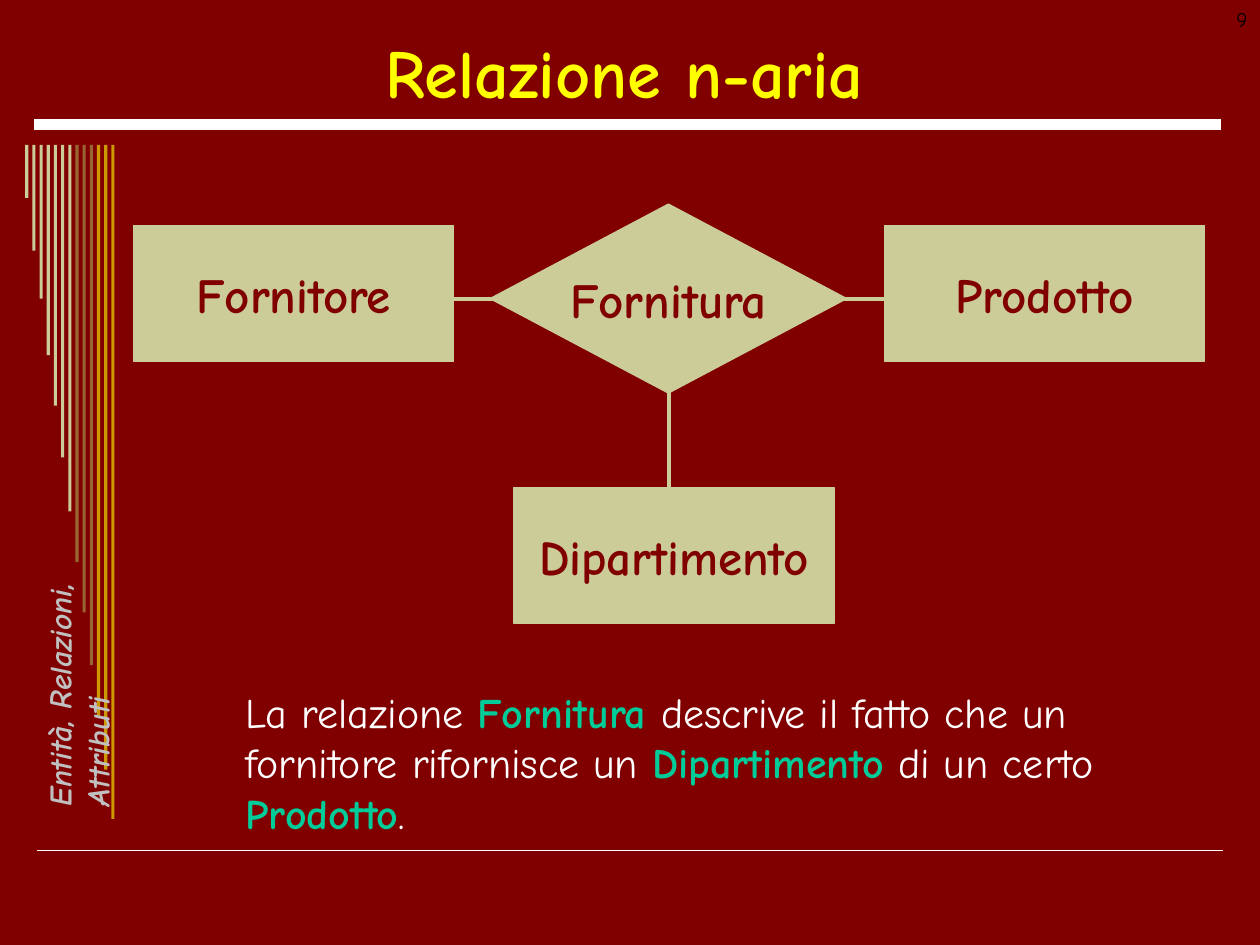
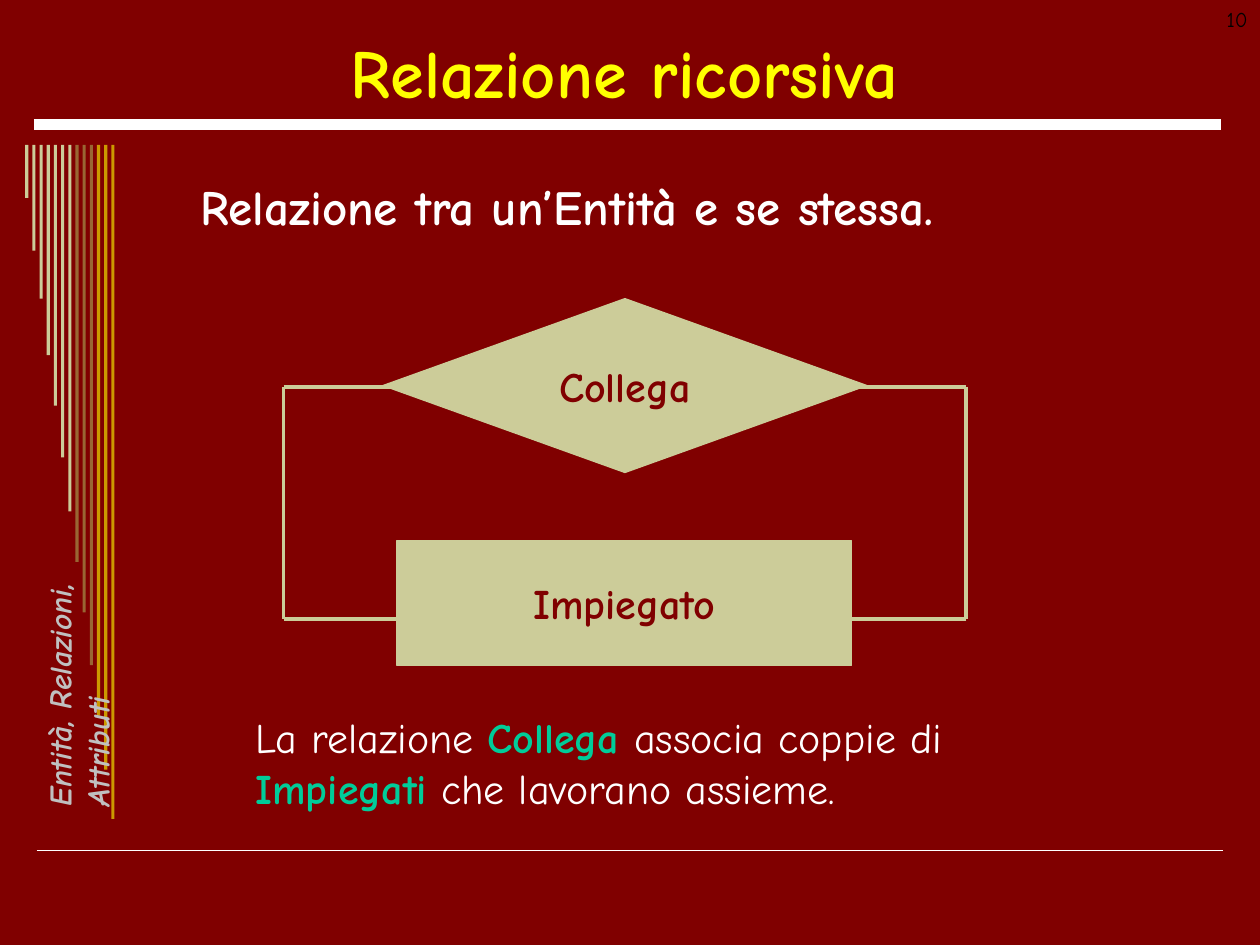
from itertools import pairwise

from lxml.etree import SubElement
from pptx import Presentation
from pptx.dml.color import RGBColor
from pptx.enum.shapes import MSO_CONNECTOR as Connector, MSO_SHAPE as Shape
from pptx.enum.text import MSO_ANCHOR as Anchor, MSO_AUTO_SIZE as AutoSize, PP_ALIGN as Align
from pptx.oxml.ns import qn
from pptx.util import Inches, Pt

# Grid: 100 columns by 75 rows of square cells
COLUMNS, ROWS = 100, 75
CELL = Inches(0.1)

FONT = "Comic Neue"
MAROON = RGBColor(0x80, 0x00, 0x00)
WHITE = RGBColor(0xFF, 0xFF, 0xFF)
BLACK = RGBColor(0x00, 0x00, 0x00)
YELLOW = RGBColor(0xFF, 0xFF, 0x00)
SILVER = RGBColor(0xC0, 0xC0, 0xC0)
GREEN = RGBColor(0x00, 0xCC, 0x99)
SAND = RGBColor(0xCC, 0xCC, 0x99)
BROWN = RGBColor(0x99, 0x66, 0x33)
GOLD = RGBColor(0xCC, 0x99, 0x00)

# Text formats
TITLE = {"size": Pt(39), "color": YELLOW, "bold": True}
SIDE = {"size": Pt(18), "color": SILVER, "bold": True, "italic": True}
NUMBER = {"size": Pt(12), "color": BLACK}
LEAD = {"size": Pt(28), "color": WHITE, "bold": True}
BODY = {"size": Pt(24), "color": WHITE, "bold": False}
TERM = {"size": Pt(24), "color": GREEN, "bold": True}

# Shared decoration: rules as (left, right, row, points), bars as (colour, lengths)
RULES = [(2.9, 97.1, 67.5, 1), (2.7, 96.9, 9.9, 6)]
SIDE_TEXT = "Entità, Relazioni, Attributi"
BAR_GROUPS = [
    (SAND, [4.2, 8.4, 12.2, 16.7, 20.7, 24.8, 29.1]),
    (BROWN, [33.1, 37.1, 41.3]),
    (GOLD, [45.3, 49.6, 53.5]),
]
BAR_LEFT, BAR_TOP, BAR_STEP, BAR_WIDTH = 2, 11.5, 0.57, 0.25

# Slide content: nodes as (text, shape, left, top, width, height),
# paths as corner points, texts as (area, runs)
ENTITY = (25.4, 10.8)
SLIDES = [
    {
        "title": "Relazione n-aria",
        "number": 9,
        "node_size": 28,
        "paths": [
            [(31.4, 23.7), (72.2, 23.7)],
            [(53.1, 30.4), (53.1, 40.4)],
        ],
        "nodes": [
            ("Fornitore", Shape.RECTANGLE, 10.6, 17.9, *ENTITY),
            ("Prodotto", Shape.RECTANGLE, 70.2, 17.9, *ENTITY),
            ("Dipartimento", Shape.RECTANGLE, 40.8, 38.7, *ENTITY),
            ("Fornitura", Shape.DIAMOND, 38.9, 16.2, 28.3, 15),
        ],
        "texts": [
            ((18.5, 54, 70.1, 13), [
                ("La relazione ", BODY),
                ("Fornitura ", TERM),
                ("descrive il fatto che un fornitore rifornisce un ", BODY),
                ("Dipartimento", TERM),
                (" di un certo ", BODY),
                ("Prodotto", TERM),
                (".", BODY),
            ]),
        ],
    },
    {
        "title": "Relazione ricorsiva",
        "number": 10,
        "node_size": 24,
        "paths": [
            [(22.5, 30.7), (76.7, 30.7), (76.7, 49.1), (64.3, 49.1)],
            [(22.5, 30.7), (22.5, 49.1), (34.9, 49.1)],
        ],
        "nodes": [
            ("Impiegato", Shape.RECTANGLE, 31.5, 42.9, 36.1, 9.9),
            ("Collega", Shape.DIAMOND, 30.4, 23.7, 38.4, 13.8),
        ],
        "texts": [
            ((14.9, 13.5, 70.1, 5.7), [("Relazione tra un’Entità e se stessa.", LEAD)]),
            ((19.3, 56, 61.4, 9), [
                ("La relazione ", BODY),
                ("Collega ", TERM),
                ("associa coppie di ", BODY),
                ("Impiegati", TERM),
                (" che lavorano assieme.", BODY),
            ]),
        ],
    },
]


def cells(*lengths):
    return [round(length * CELL) for length in lengths]


def write(shape, runs, align=Align.LEFT, **frame_format):
    frame = shape.text_frame
    for name, value in frame_format.items():
        setattr(frame, name, value)
    paragraph = frame.paragraphs[0]
    paragraph.alignment = align
    for text, text_format in runs:
        run = paragraph.add_run()
        run.text = text
        run.font.name = FONT
        for name, value in text_format.items():
            if name == "color":
                run.font.color.rgb = value
            else:
                setattr(run.font, name, value)


def add_text(slide, area, runs, align=Align.LEFT, word_wrap=True, **frame_format):
    box = slide.shapes.add_textbox(*cells(*area))
    write(box, runs, align, word_wrap=word_wrap, **frame_format)
    return box


def add_filled(slide, kind, area, color):
    shape = slide.shapes.add_shape(kind, *cells(*area))
    shape.shadow.inherit = False
    shape.fill.solid()
    shape.fill.fore_color.rgb = color
    shape.line.fill.background()
    return shape


def add_line(slide, start, end, color, points):
    line = slide.shapes.add_connector(Connector.STRAIGHT, *cells(*start, *end))
    line.line.color.rgb = color
    line.line.width = Pt(points)
    SubElement(line._element.spPr, qn("a:effectLst"))


def add_decoration(slide):
    slide.background.fill.solid()
    slide.background.fill.fore_color.rgb = MAROON
    for left, right, row, points in RULES:
        add_line(slide, (left, row), (right, row), WHITE, points)
    bars = [(color, length) for color, lengths in BAR_GROUPS for length in lengths]
    for index, (color, length) in enumerate(bars):
        left = BAR_LEFT + index * BAR_STEP
        add_filled(slide, Shape.RECTANGLE, (left, BAR_TOP, BAR_WIDTH, length), color)
    side = add_text(slide, (-7.5, 52.4, 22.8, 2.4), [(SIDE_TEXT, SIDE)], word_wrap=False)
    side.rotation = 270


def add_diagram(slide, paths, nodes, size):
    for path_points in paths:
        for start, end in pairwise(path_points):
            add_line(slide, start, end, SAND, 2.25)
    node_format = {"size": Pt(size), "color": MAROON, "bold": True}
    for text, kind, *area in nodes:
        node = add_filled(slide, kind, area, SAND)
        node.line.color.rgb = SAND
        node.line.width = Pt(0.75)
        write(node, [(text, node_format)], Align.CENTER,
              word_wrap=False, vertical_anchor=Anchor.MIDDLE)


def main():
    presentation = Presentation()
    presentation.slide_width, presentation.slide_height = cells(COLUMNS, ROWS)
    for content in SLIDES:
        slide = presentation.slides.add_slide(presentation.slide_layouts[6])
        add_decoration(slide)
        add_text(slide, (3.5, 2.1, 92.1, 7.1), [(content["title"], TITLE)],
                 Align.CENTER, vertical_anchor=Anchor.MIDDLE)
        add_diagram(slide, content["paths"], content["nodes"], content["node_size"])
        for area, runs in content["texts"]:
            add_text(slide, area, runs, auto_size=AutoSize.SHAPE_TO_FIT_TEXT)
        add_text(slide, (76.7, 0, 23.3, 5), [(str(content["number"]), NUMBER)], Align.RIGHT)
    presentation.save("out.pptx")


if __name__ == "__main__":
    main()
